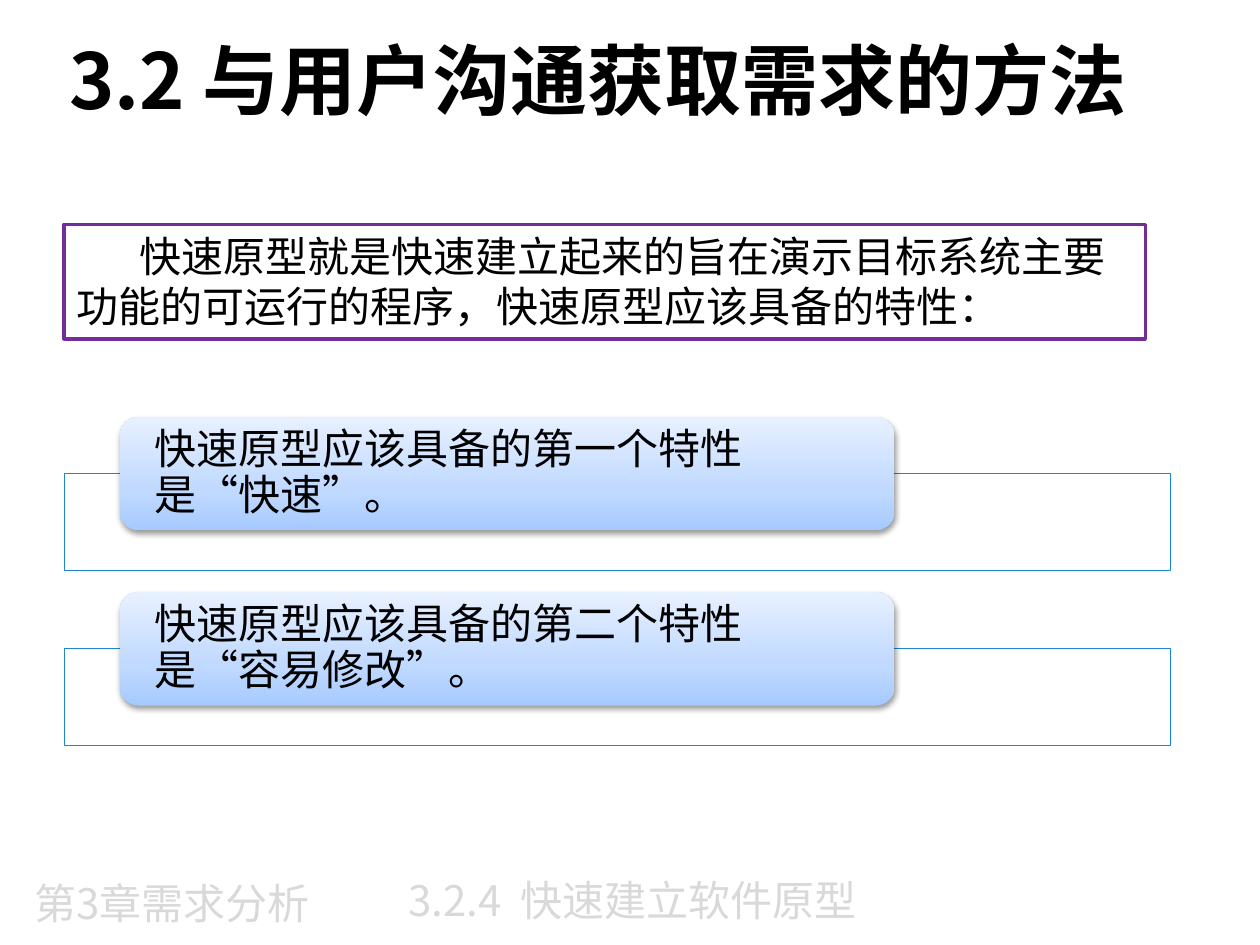
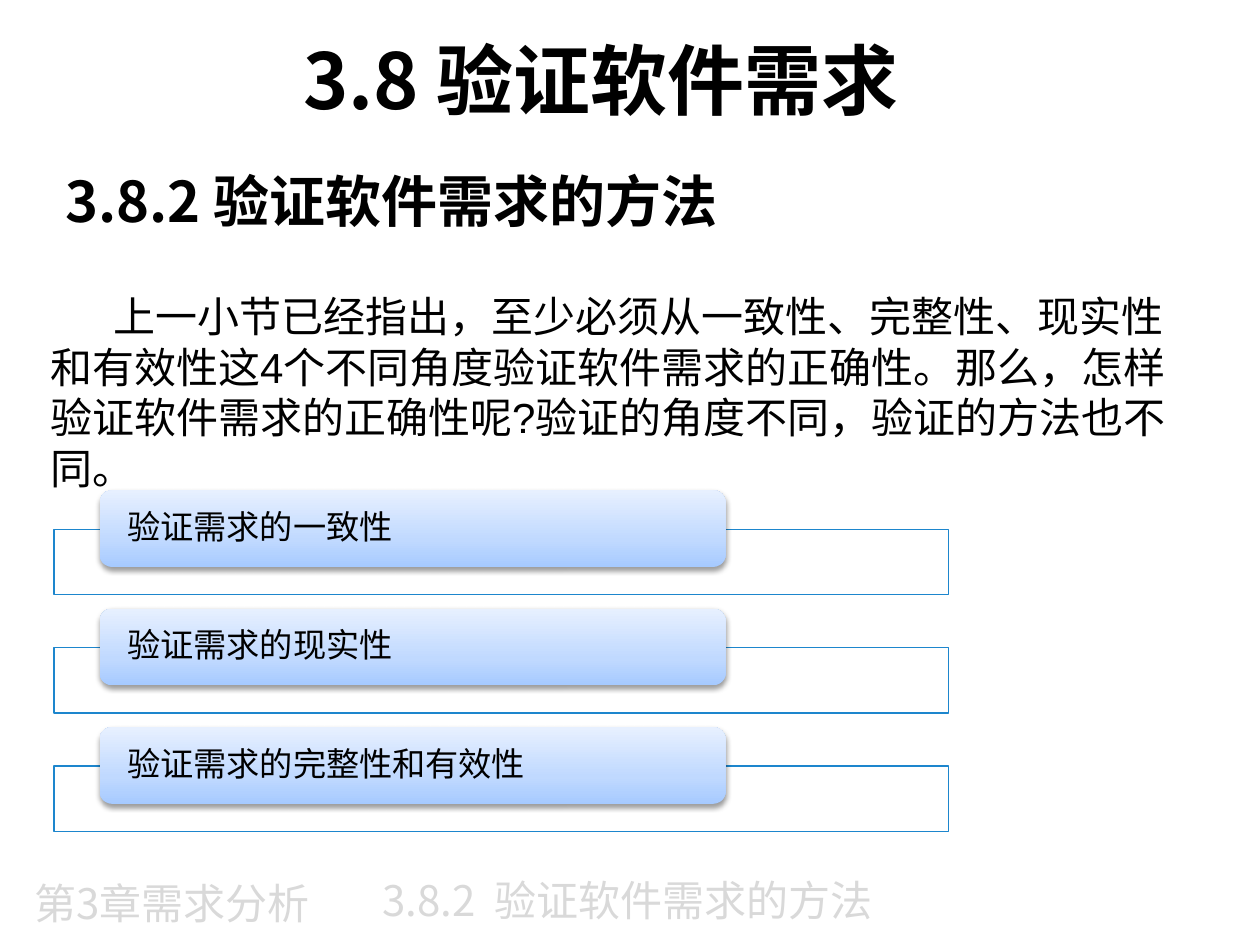
from dataclasses import dataclass

from lxml import etree
from pptx import Presentation
from pptx.dml.color import RGBColor
from pptx.enum.shapes import MSO_SHAPE
from pptx.enum.text import MSO_ANCHOR, PP_ALIGN
from pptx.oxml import parse_xml
from pptx.oxml.ns import nsdecls, qn
from pptx.util import Inches, Pt

RECT, ROUNDED = MSO_SHAPE.RECTANGLE, MSO_SHAPE.ROUNDED_RECTANGLE
TOP, MIDDLE = MSO_ANCHOR.TOP, MSO_ANCHOR.MIDDLE
LEFT, CENTER = PP_ALIGN.LEFT, PP_ALIGN.CENTER

BLACK = RGBColor(0x00, 0x00, 0x00)
WHITE = RGBColor(0xFF, 0xFF, 0xFF)
FOOTER_GREY = RGBColor(0xD9, 0xD9, 0xD9)
PURPLE = RGBColor(0x73, 0x2E, 0x9A)
PANEL_BLUE = RGBColor(0x1D, 0x86, 0xCD)
CARD_STOPS = (
    (0, RGBColor(0xA6, 0xCA, 0xFF)),
    (35, RGBColor(0xC0, 0xD9, 0xFF)),
    (100, RGBColor(0xE7, 0xF0, 0xFF)),
)

BODY_FONT = "Arial"
CJK_FONT = "Noto Sans CJK SC"
CHAPTER = "第3章需求分析"


@dataclass(frozen=True)
class Box:
    left: float
    top: float
    width: float
    height: float

    def lengths(self):
        return [Inches(v) for v in (self.left, self.top, self.width, self.height)]

    def down(self, distance: float) -> "Box":
        return Box(self.left, self.top + distance, self.width, self.height)


@dataclass(frozen=True)
class TextStyle:
    size: float
    font: str = BODY_FONT
    color: RGBColor = BLACK
    bold: bool = False
    align: PP_ALIGN = LEFT
    anchor: MSO_ANCHOR = TOP
    indent: float = 0
    line_spacing: float = 1.0


@dataclass(frozen=True)
class CardList:
    panel: Box
    card: Box
    pitch: float
    inset: float
    size: float
    items: tuple[str, ...]


TITLE = TextStyle(44, CJK_FONT, bold=True, align=CENTER, anchor=MIDDLE)
SUBTITLE = TextStyle(32, CJK_FONT, bold=True)
BODY = TextStyle(24, indent=0.5)
FOOTER = TextStyle(24, CJK_FONT, FOOTER_GREY, align=CENTER, anchor=MIDDLE)


def write(shape, text: str, style: TextStyle) -> None:
    tf = shape.text_frame
    tf.word_wrap = True
    tf.vertical_anchor = style.anchor
    p = tf.paragraphs[0]
    p.text = text
    p.alignment = style.align
    p.line_spacing = style.line_spacing
    p.font.size = Pt(style.size)
    p.font.bold = style.bold
    p.font.color.rgb = style.color
    p.font.name = style.font
    p_pr = p._p.get_or_add_pPr()
    p_pr.set("indent", str(Inches(style.indent)))
    east_asian = etree.SubElement(p_pr.find(qn("a:defRPr")), qn("a:ea"))
    east_asian.set("typeface", CJK_FONT)


def add_text(slide, box: Box, text: str, style: TextStyle) -> None:
    write(slide.shapes.add_textbox(*box.lengths()), text, style)


def add_frame(slide, box: Box, color: RGBColor, weight: float):
    sp = slide.shapes.add_shape(RECT, *box.lengths())
    sp.shadow.inherit = False
    sp.fill.solid()
    sp.fill.fore_color.rgb = WHITE
    sp.line.color.rgb = color
    sp.line.width = Pt(weight)
    return sp


def add_card(slide, box: Box, text: str, size: float, inset: float) -> None:
    sp = slide.shapes.add_shape(ROUNDED, *box.lengths())
    sp.line.fill.background()
    stops = "".join(
        f'<a:gs pos="{pos * 1000}"><a:srgbClr val="{color}"/></a:gs>'
        for pos, color in CARD_STOPS
    )
    gradient = parse_xml(
        f'<a:gradFill {nsdecls("a")} rotWithShape="1"><a:gsLst>{stops}</a:gsLst>'
        '<a:lin ang="16200000" scaled="0"/></a:gradFill>'
    )
    shadow = parse_xml(
        f'<a:effectLst {nsdecls("a")}><a:outerShdw blurRad="{Pt(3.1)}" '
        f'dist="{Pt(1.6)}" dir="5400000" rotWithShape="0">'
        f'<a:srgbClr val="{BLACK}"><a:alpha val="38000"/></a:srgbClr>'
        "</a:outerShdw></a:effectLst>"
    )
    outline = sp.line._get_or_add_ln()
    outline.addprevious(gradient)
    outline.addnext(shadow)
    tf = sp.text_frame
    tf.margin_left = tf.margin_right = Inches(inset)
    tf.margin_top = tf.margin_bottom = 0
    write(sp, text, TextStyle(size, anchor=MIDDLE, line_spacing=0.9))


def add_card_list(slide, cards: CardList) -> None:
    for i, text in enumerate(cards.items):
        offset = i * cards.pitch
        add_frame(slide, cards.panel.down(offset), PANEL_BLUE, 0.75)
        add_card(slide, cards.card.down(offset), text, cards.size, cards.inset)


def add_base_slide(prs, title: str, section: str, title_left: float, section_left: float):
    s = prs.slides.add_slide(prs.slide_layouts[6])
    add_text(s, Box(title_left, 0, 9, 1.25), title, TITLE)
    add_text(s, Box(section_left, 6.88, 5, 0.52), section, FOOTER)
    add_text(s, Box(-0.15, 6.9, 3.03, 0.52), CHAPTER, FOOTER)
    return s


def build_prototype_slide(prs) -> None:
    s = add_base_slide(
        prs, "3.2 与用户沟通获取需求的方法", "3.2.4  快速建立软件原型", 0.25, 2.52
    )
    definition = add_frame(s, Box(0.51, 1.78, 8.58, 0.91), PURPLE, 2)
    write(
        definition,
        "快速原型就是快速建立起来的旨在演示目标系统主要功能的可运行的程序，"
        "快速原型应该具备的特性：",
        BODY,
    )
    add_card_list(s, CardList(
        panel=Box(0.51, 3.76, 8.78, 0.77),
        card=Box(0.95, 3.31, 6.15, 0.9),
        pitch=1.39,
        inset=0.23,
        size=24,
        items=(
            "快速原型应该具备的第一个特性是“快速”。",
            "快速原型应该具备的第二个特性是“容易修改”。",
        ),
    ))


def build_verification_slide(prs) -> None:
    s = add_base_slide(
        prs, "3.8 验证软件需求", "3.8.2  验证软件需求的方法", 0.27, 2.48
    )
    add_text(s, Box(0.42, 1.27, 8.99, 0.64), "3.8.2 验证软件需求的方法", SUBTITLE)
    add_text(
        s,
        Box(0.3, 2.26, 9.11, 1.72),
        "上一小节已经指出，至少必须从一致性、完整性、现实性和有效性这4个不同角度"
        "验证软件需求的正确性。那么，怎样验证软件需求的正确性呢?"
        "验证的角度不同，验证的方法也不同。",
        BODY,
    )
    add_card_list(s, CardList(
        panel=Box(0.43, 4.2, 7.1, 0.52),
        card=Box(0.79, 3.89, 4.97, 0.61),
        pitch=0.94,
        inset=0.19,
        size=19,
        items=("验证需求的一致性", "验证需求的现实性", "验证需求的完整性和有效性"),
    ))


def main() -> None:
    prs = Presentation()
    prs.slide_width = Inches(10)
    prs.slide_height = Inches(7.5)
    build_prototype_slide(prs)
    build_verification_slide(prs)
    prs.save("out.pptx")


if __name__ == "__main__":
    main()
